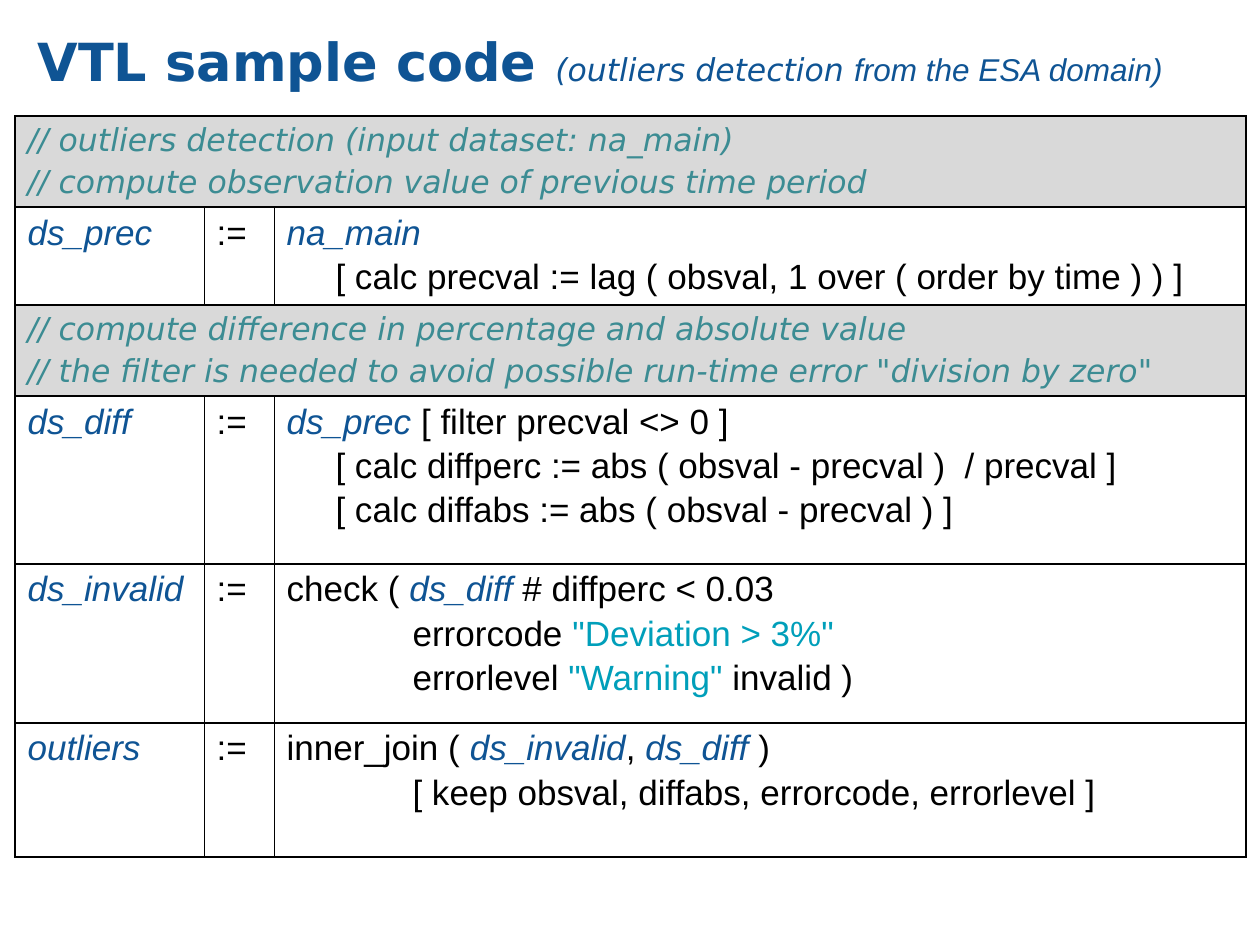
from lxml.etree import SubElement
from pptx import Presentation
from pptx.dml.color import RGBColor
from pptx.enum.text import MSO_ANCHOR, MSO_AUTO_SIZE, PP_ALIGN
from pptx.oxml.ns import qn
from pptx.util import Emu, Pt

SCALE = 914400 / 126
COLORS = {
    "blue": "0F5494",
    "teal": "3C8C93",
    "cyan": "009FBA",
    "black": "000000",
    "gray": "D9D9D9",
    "white": "FFFFFF",
}
# style: font, size, color, bold, italic
STYLES = {
    "title": ("DejaVu Sans", 30, "blue", True, False),
    "subtitle": ("DejaVu Sans", 18, "blue", False, True),
    "domain": ("Arial", 18, "blue", False, True),
    "comment": ("DejaVu Sans", 18, "teal", False, True),
    "dataset": ("Arial", 20, "blue", False, True),
    "code": ("Arial", 20, "black", False, False),
    "string": ("Arial", 20, "cyan", False, False),
}
TITLE = [
    ("VTL sample code ", "title"),
    ("(outliers detection ", "subtitle"),
    ("from the ESA domain)", "domain"),
]
COLUMN_WIDTHS = [189, 70, 972]
ROW_HEIGHTS = [91, 98, 91, 168, 159, 134]
SHALLOW, DEEP = 49, 126

# A row is a list of comment lines, or a result name with its (indent, runs) lines.
ROWS = [
    [
        "// outliers detection (input dataset: na_main)",
        "// compute observation value of previous time period",
    ],
    ("ds_prec", [
        (0, [("na_main", "dataset")]),
        (SHALLOW, [("[ calc precval := lag ( obsval, 1 over ( order by time ) ) ]", "code")]),
    ]),
    [
        "// compute difference in percentage and absolute value",
        '// the filter is needed to avoid possible run-time error "division by zero"',
    ],
    ("ds_diff", [
        (0, [("ds_prec ", "dataset"), ("[ filter precval <> 0 ]", "code")]),
        (SHALLOW, [("[ calc diffperc := abs ( obsval - precval )  / precval ]", "code")]),
        (SHALLOW, [("[ calc diffabs := abs ( obsval - precval ) ]", "code")]),
    ]),
    ("ds_invalid", [
        (0, [("check ( ", "code"), ("ds_diff ", "dataset"), ("# diffperc < 0.03", "code")]),
        (DEEP, [("errorcode ", "code"), ('"Deviation > 3%"', "string")]),
        (DEEP, [("errorlevel ", "code"), ('"Warning" ', "string"), ("invalid )", "code")]),
    ]),
    ("outliers", [
        (0, [("inner_join ( ", "code"), ("ds_invalid", "dataset"), (", ", "code"),
             ("ds_diff", "dataset"), (" )", "code")]),
        (DEEP, [("[ keep obsval, diffabs, errorcode, errorlevel ]", "code")]),
    ]),
]


def px(length):
    """Turn px into EMU."""
    return Emu(round(length * SCALE))


def add_runs(paragraph, runs):
    """Add styled runs to a paragraph."""
    for text, style in runs:
        name, size, color, bold, italic = STYLES[style]
        run = paragraph.add_run()
        run.text = text
        font = run.font
        font.name, font.size, font.bold, font.italic = name, Pt(size), bold, italic
        font.color.rgb = RGBColor.from_string(COLORS[color])


def set_indent(paragraph, left, first=0):
    """Set the left margin and first-line indent of a paragraph."""
    properties = paragraph._p.get_or_add_pPr()
    properties.set("marL", str(px(left)))
    properties.set("indent", str(px(first)))


def fill_cell(cell, lines):
    """Write (indent, runs) lines into a cell."""
    frame = cell.text_frame
    for index, (indent, runs) in enumerate(lines):
        paragraph = frame.add_paragraph() if index else frame.paragraphs[0]
        paragraph.space_before = Pt(3)
        set_indent(paragraph, indent)
        add_runs(paragraph, runs)


def style_cell(cell, fill, left, right):
    """Set the borders and fill of a cell."""
    properties = cell._tc.get_or_add_tcPr()
    for side, width in (("L", left), ("R", right), ("T", 1), ("B", 1)):
        line = SubElement(properties, qn(f"a:ln{side}"), w=str(Pt(width)))
        solid = SubElement(line, qn("a:solidFill"))
        SubElement(solid, qn("a:srgbClr"), val=COLORS["black"])
    cell.fill.solid()
    cell.fill.fore_color.rgb = RGBColor.from_string(COLORS[fill])


def add_title(slide):
    """Place and write the slide title."""
    title = slide.shapes.title
    title.left, title.top, title.width, title.height = map(px, (25, 16, 1221, 90))
    frame = title.text_frame
    frame.word_wrap = True
    frame.auto_size = MSO_AUTO_SIZE.NONE
    frame.vertical_anchor = MSO_ANCHOR.MIDDLE
    paragraph = frame.paragraphs[0]
    paragraph.alignment = PP_ALIGN.LEFT
    set_indent(paragraph, 49, -49)
    add_runs(paragraph, TITLE)


def add_code_table(slide):
    """Add the table of commented statements."""
    table = slide.shapes.add_table(
        len(ROWS), len(COLUMN_WIDTHS), px(15), px(116),
        px(sum(COLUMN_WIDTHS)), px(sum(ROW_HEIGHTS))).table
    table.first_row = table.horz_banding = False
    for column, width in zip(table.columns, COLUMN_WIDTHS):
        column.width = px(width)
    for row, height, content in zip(table.rows, ROW_HEIGHTS, ROWS):
        row.height = px(height)
        cells = list(row.cells)
        if isinstance(content, list):
            cells[0].merge(cells[-1])
            fill, edges = "gray", [1, 1, 1, 1]
            fill_cell(cells[0], [(0, [(text, "comment")]) for text in content])
        else:
            name, expression = content
            fill, edges = "white", [1, 0.25, 0.25, 1]
            fill_cell(cells[0], [(0, [(name, "dataset")])])
            fill_cell(cells[1], [(0, [(":=", "code")])])
            fill_cell(cells[2], expression)
        for cell, left, right in zip(cells, edges, edges[1:]):
            style_cell(cell, fill, left, right)


def main():
    """Build and save the slide."""
    presentation = Presentation()
    presentation.slide_width, presentation.slide_height = px(1260), px(945)
    slide = presentation.slides.add_slide(presentation.slide_layouts[5])
    add_title(slide)
    add_code_table(slide)
    presentation.save("out.pptx")


if __name__ == "__main__":
    main()
